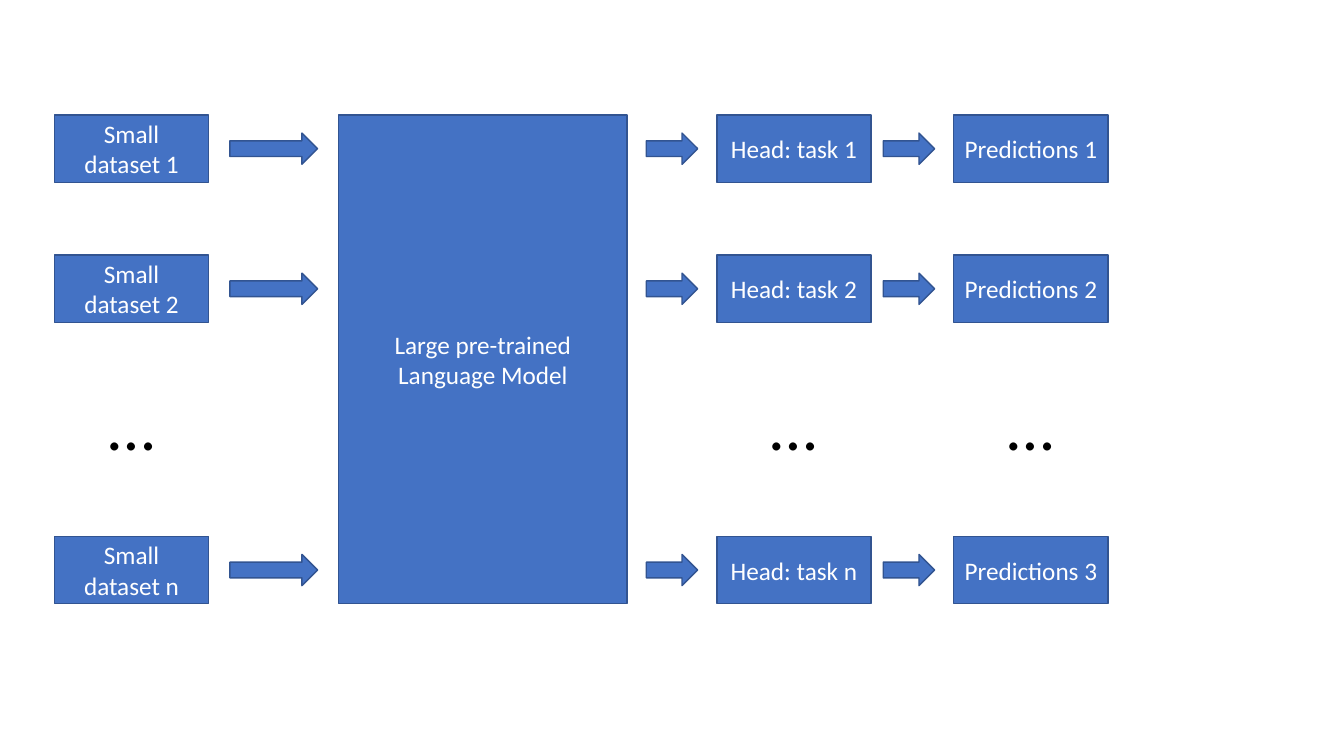
from pptx import Presentation
from pptx.dml.color import RGBColor
from pptx.enum.shapes import MSO_SHAPE
from pptx.enum.text import MSO_ANCHOR, MSO_AUTO_SIZE, PP_ALIGN
from pptx.util import Pt

PX = 9144
COLORS = {"fill": "4472C4", "line": "325491", "light": "FFFFFF", "dark": "000000"}
LABEL = {"size": Pt(18), "name": "Calibri"}
ELLIPSIS = {"size": Pt(48), "name": "Calibri"}

CARD_WIDTH, CARD_HEIGHT = 153, 67
ARROW_HEIGHT = 31
ROW_TOPS = (114, 253, 532)
ELLIPSIS_TOP, ELLIPSIS_HEIGHT = 375, 91
MODEL_BOX = (336, 114, 286, 485)
COLUMNS = (
    (54, ("Small dataset 1", "Small dataset 2", "Small dataset n")),
    (711, ("Head: task 1", "Head: task 2", "Head: task n")),
    (946, ("Predictions 1", "Predictions 2", "Predictions 3")),
)
ARROW_COLUMNS = ((228, 87), (641, 51), (876, 51))


def scaled(box):
    """Turn a px box into EMU."""
    return [length * PX for length in box]


def write(frame, text, style, color):
    """Put one centred line of styled text into a frame."""
    frame.word_wrap = True
    para = frame.paragraphs[0]
    para.alignment = PP_ALIGN.CENTER
    span = para.add_run()
    span.text = text
    for name, value in style.items():
        setattr(span.font, name, value)
    span.font.color.rgb = RGBColor.from_string(COLORS[color])


def add_block(page, kind, box):
    """Add a filled and outlined preset shape."""
    block = page.shapes.add_shape(kind, *scaled(box))
    block.shadow.inherit = False
    block.fill.solid()
    block.fill.fore_color.rgb = RGBColor.from_string(COLORS["fill"])
    block.line.color.rgb = RGBColor.from_string(COLORS["line"])
    block.line.width = Pt(1)
    return block


def add_card(page, box, text):
    """Add a rectangle with a centred label."""
    frame = add_block(page, MSO_SHAPE.RECTANGLE, box).text_frame
    frame.vertical_anchor = MSO_ANCHOR.MIDDLE
    write(frame, text, LABEL, "light")


def add_card_column(page, left, labels):
    """Stack the labelled cards of a column, with an ellipsis before the last."""
    for top, label in zip(ROW_TOPS, labels):
        add_card(page, (left, top, CARD_WIDTH, CARD_HEIGHT), label)
    box = (left, ELLIPSIS_TOP, CARD_WIDTH, ELLIPSIS_HEIGHT)
    frame = page.shapes.add_textbox(*scaled(box)).text_frame
    write(frame, "…", ELLIPSIS, "dark")
    frame.auto_size = MSO_AUTO_SIZE.SHAPE_TO_FIT_TEXT


def add_arrow_column(page, left, width):
    """Add one arrow per row, centred on the height of the cards."""
    inset = (CARD_HEIGHT - ARROW_HEIGHT) // 2
    for top in ROW_TOPS:
        add_block(page, MSO_SHAPE.RIGHT_ARROW, (left, top + inset, width, ARROW_HEIGHT))


def main():
    """Build the slide and save the deck."""
    deck = Presentation()
    deck.slide_width, deck.slide_height = scaled((1333, 750))
    page = deck.slides.add_slide(deck.slide_layouts[6])
    add_card(page, MODEL_BOX, "Large pre-trained Language Model")
    for left, labels in COLUMNS:
        add_card_column(page, left, labels)
    for left, width in ARROW_COLUMNS:
        add_arrow_column(page, left, width)
    deck.save("out.pptx")


if __name__ == "__main__":
    main()
